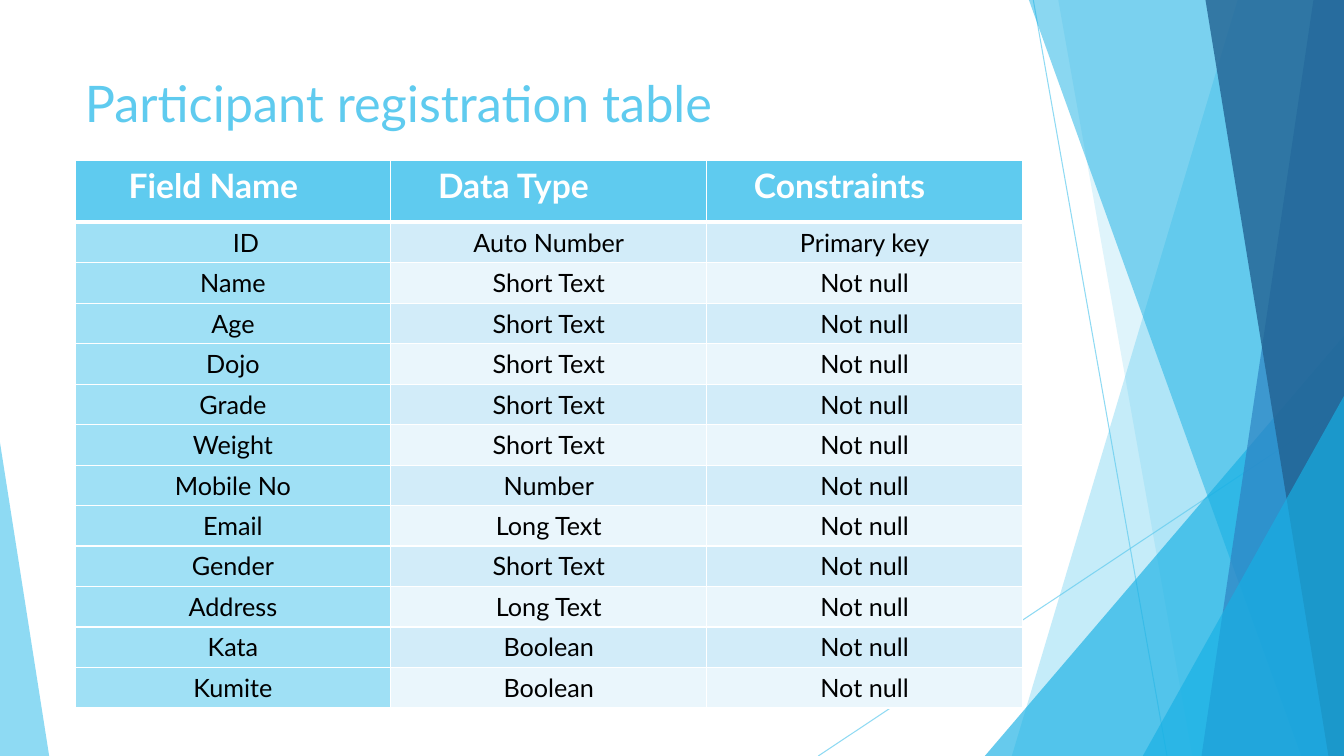
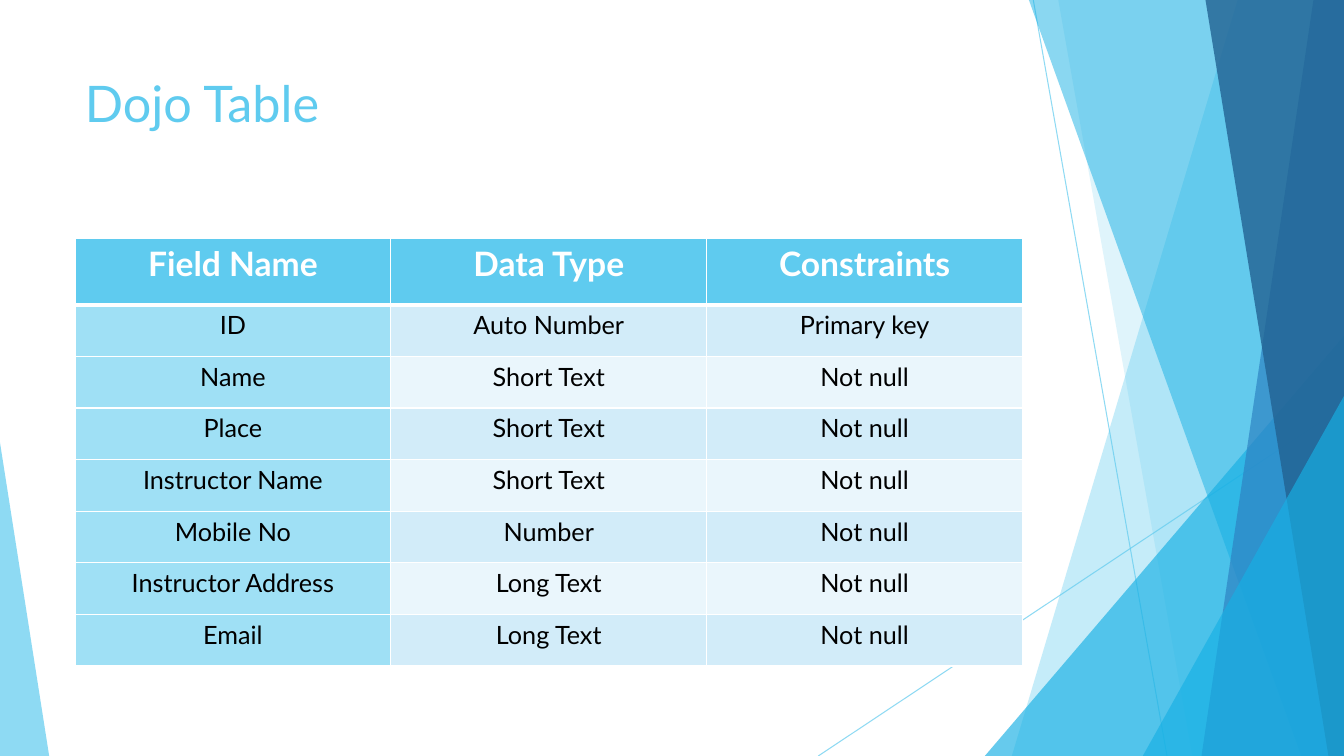
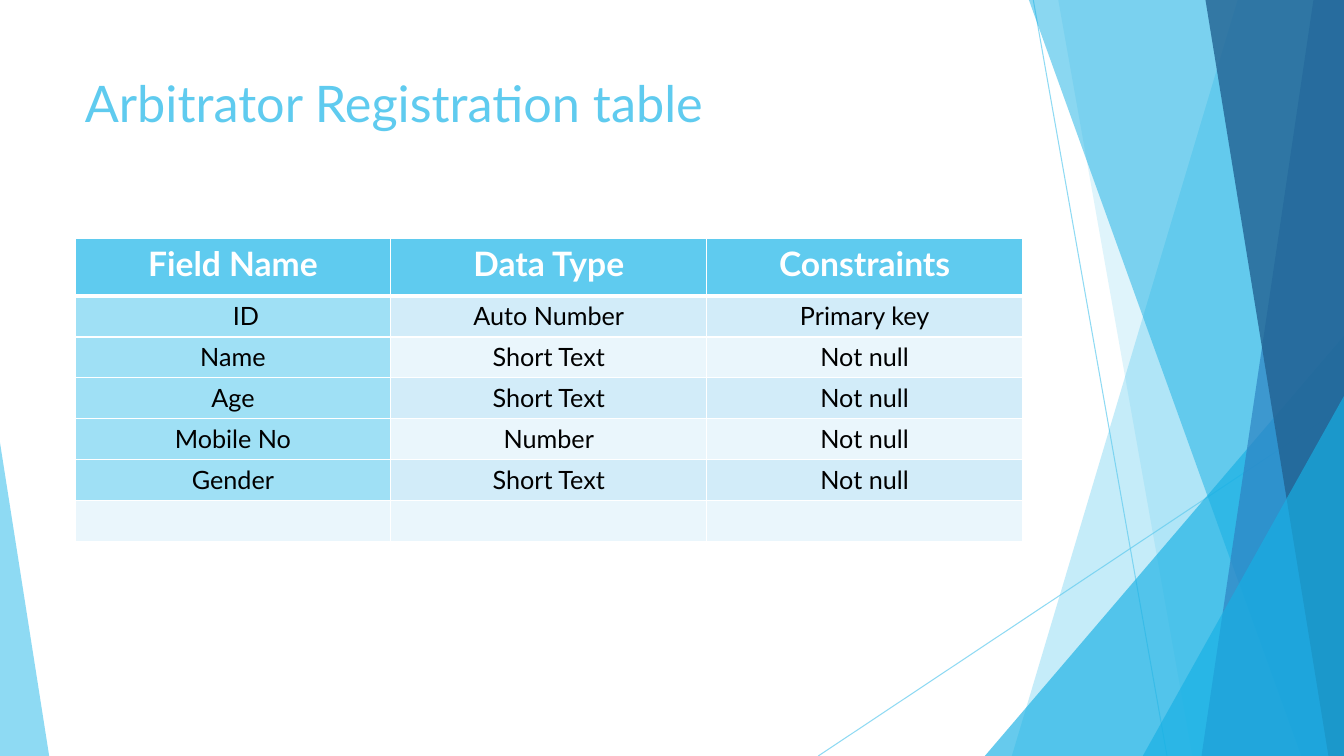
"""Three slides of database table definitions on a shared faceted backdrop."""
from dataclasses import dataclass

from lxml import etree
from pptx import Presentation
from pptx import util as u
from pptx.dml.color import RGBColor
from pptx.enum import shapes, text
from pptx.oxml.ns import qn

WIDTH, HEIGHT = 33.87, 19.05
FONT = "Lato"
SKY, CYAN, BLUE, NAVY = "5FCBEF", "17B0E4", "2E83C3", "226292"
WHITE, BLACK = "FFFFFF", "000000"
KEY_FILL, ROW_FILLS = "9FE0F5", ("EAF6FC", "D2ECF9")
LEFT, TABLE_WIDTH = 1.89, 23.88
MARGIN = 0.25
HEADERS = ("Field Name", "Data Type", "Constraints")


@dataclass(frozen=True)
class Ray:
    x1: float
    y1: float
    x2: float
    y2: float


@dataclass(frozen=True)
class Band:
    top_x: float
    bottom_x: float
    color: str
    alpha: int


@dataclass(frozen=True)
class Wedge:
    x: float
    y: float
    width: float
    apex: float
    color: str
    alpha: int


@dataclass(frozen=True)
class FieldTable:
    title: str
    top: float
    header_height: float
    row_height: float
    fields: tuple[tuple[str, str], ...]
    header_margins: tuple[float, ...] = ()
    id_margin: float = MARGIN
    spare_rows: int = 0


RAYS = (Ray(26.04, 0, 29.41, HEIGHT), Ray(WIDTH, 10.24, 20.62, HEIGHT))
FACETS = (
    Band(31.19, 25.5, SKY, 36),
    Band(26.67, 30.05, SKY, 20),
    Wedge(24.82, 8.46, 9.05, 1, CYAN, 66),
    Band(25.93, 32.79, CYAN, 50),
    Band(33.1, 30.28, BLUE, 70),
    Band(30.38, 33.48, NAVY, 80),
    Wedge(28.8, 9.98, 5.07, 1, CYAN, 66),
    Wedge(0, 11.15, 1.24, 0, SKY, 70),
)
TABLES = (
    FieldTable(
        "Participant registration table", 4.05, 1.55, 1.02,
        (("ID", "Auto Number"), ("Name", "Short Text"), ("Age", "Short Text"),
         ("Dojo", "Short Text"), ("Grade", "Short Text"), ("Weight", "Short Text"),
         ("Mobile No", "Number"), ("Email", "Long Text"), ("Gender", "Short Text"),
         ("Address", "Long Text"), ("Kata", "Boolean"), ("Kumite", "Boolean")),
        header_margins=(1.35, 1.19, 1.19), id_margin=0.91),
    FieldTable(
        "Dojo Table", 6, 1.68, 1.3,
        (("ID", "Auto Number"), ("Name", "Short Text"), ("Place", "Short Text"),
         ("Instructor Name", "Short Text"), ("Mobile No", "Number"),
         ("Instructor Address", "Long Text"), ("Email", "Long Text"))),
    FieldTable(
        "Arbitrator Registration table", 6, 1.46, 1.03,
        (("ID", "Auto Number"), ("Name", "Short Text"), ("Age", "Short Text"),
         ("Mobile No", "Number"), ("Gender", "Short Text")),
        id_margin=0.91, spare_rows=1),
)


def rgb(color: str) -> RGBColor:
    return RGBColor.from_string(color)


def set_alpha(sp, percent: int) -> None:
    clr = sp.element.spPr.find(".//" + qn("a:srgbClr"))
    etree.SubElement(clr, qn("a:alpha")).set("val", str(percent * 1000))


def add_run(p, content: str, size: int, color: str, bold: bool = False) -> None:
    r = p.add_run()
    r.text = content
    r.font.name, r.font.size, r.font.bold = FONT, u.Pt(size), bold
    r.font.color.rgb = rgb(color)


def draw_ray(s, ray: Ray) -> None:
    cx = s.shapes.add_connector(
        shapes.MSO_CONNECTOR.STRAIGHT,
        u.Cm(ray.x1), u.Cm(ray.y1), u.Cm(ray.x2), u.Cm(ray.y2))
    cx.line.width = u.Pt(0.75)
    cx.line.color.rgb = rgb(SKY)
    set_alpha(cx, 70)
    etree.SubElement(cx.element.spPr, qn("a:effectLst"))


def draw_facet(s, facet: Band | Wedge) -> None:
    if isinstance(facet, Band):
        fb = s.shapes.build_freeform(u.Cm(facet.top_x), 0)
        corners = ((WIDTH, 0), (WIDTH, HEIGHT), (facet.bottom_x, HEIGHT))
        fb.add_line_segments([(u.Cm(x), u.Cm(y)) for x, y in corners], close=True)
        sp = fb.convert_to_shape()
    else:
        sp = s.shapes.add_shape(
            shapes.MSO_SHAPE.ISOSCELES_TRIANGLE, u.Cm(facet.x), u.Cm(facet.y),
            u.Cm(facet.width), u.Cm(HEIGHT - facet.y))
        sp.adjustments[0] = facet.apex
    sp.shadow.inherit = False
    sp.line.fill.background()
    sp.fill.solid()
    sp.fill.fore_color.rgb = rgb(facet.color)
    set_alpha(sp, facet.alpha)


def draw_title(s, title: str) -> None:
    tf = s.shapes.add_textbox(
        u.Cm(LEFT), u.Cm(1.7), u.Cm(TABLE_WIDTH), u.Cm(2.03)).text_frame
    tf.word_wrap = True
    add_run(tf.paragraphs[0], title, 36, SKY)


def set_borders(cell, top: float, bottom: float) -> None:
    tc_pr = cell._tc.get_or_add_tcPr()
    for side, width in (("L", 1), ("R", 1), ("T", top), ("B", bottom)):
        ln = etree.SubElement(tc_pr, qn(f"a:ln{side}"), w=str(u.Pt(width)))
        fill = etree.SubElement(ln, qn("a:solidFill"))
        etree.SubElement(fill, qn("a:srgbClr"), val=WHITE)


def cell_fill(row: int, col: int, content: str) -> str:
    if row == 0:
        return SKY
    return KEY_FILL if col == 0 and content else ROW_FILLS[row % 2]


def draw_table(s, ft: FieldTable) -> None:
    rows = [HEADERS]
    rows += [(name, kind, "Primary key" if name == "ID" else "Not null")
             for name, kind in ft.fields]
    rows += [("", "", "")] * ft.spare_rows
    height = ft.header_height + ft.row_height * (len(rows) - 1)
    table = s.shapes.add_table(
        len(rows), len(HEADERS), u.Cm(LEFT), u.Cm(ft.top),
        u.Cm(TABLE_WIDTH), u.Cm(height)).table
    table.first_row = table.horz_banding = False
    for i, row in enumerate(rows):
        table.rows[i].height = u.Cm(ft.row_height if i else ft.header_height)
        for j, content in enumerate(row):
            cell = table.cell(i, j)
            set_borders(cell, 3 if i == 1 else 1, 1 if i else 3)
            cell.fill.solid()
            cell.fill.fore_color.rgb = rgb(cell_fill(i, j, content))
            p = cell.text_frame.paragraphs[0]
            p.alignment = text.PP_ALIGN.CENTER
            if i == 0 and ft.header_margins:
                p.alignment = text.PP_ALIGN.LEFT
                cell.margin_left = u.Cm(ft.header_margins[j])
            elif content == "ID":
                cell.margin_left = u.Cm(ft.id_margin)
            if content:
                add_run(p, content, 18 if i else 24, BLACK if i else WHITE, i == 0)


def main() -> None:
    prs = Presentation()
    prs.slide_width, prs.slide_height = u.Cm(WIDTH), u.Cm(HEIGHT)
    for ft in TABLES:
        s = prs.slides.add_slide(prs.slide_layouts[6])
        for ray in RAYS:
            draw_ray(s, ray)
        for facet in FACETS:
            draw_facet(s, facet)
        draw_title(s, ft.title)
        draw_table(s, ft)
    prs.save("out.pptx")


if __name__ == "__main__":
    main()
